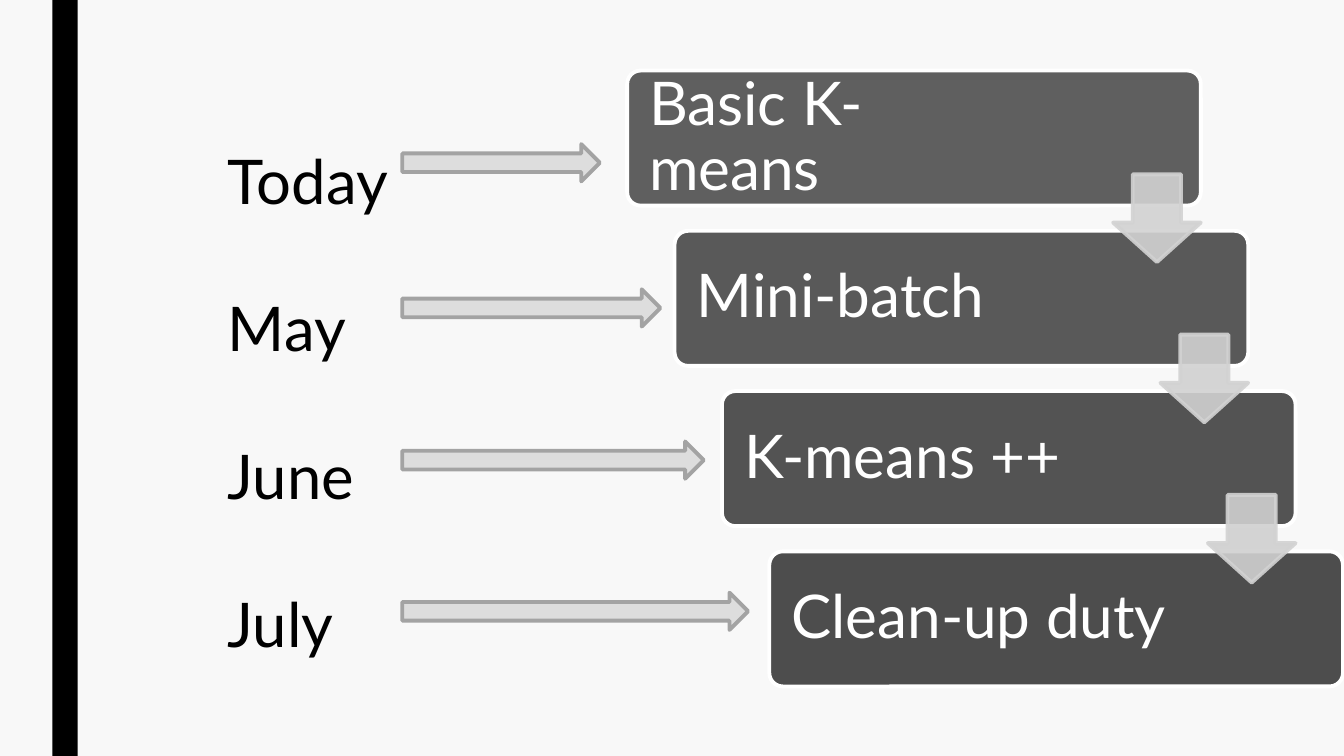
from lxml import etree
from pptx import Presentation
from pptx.dml.color import RGBColor
from pptx.enum.shapes import MSO_SHAPE
from pptx.enum.text import MSO_ANCHOR, MSO_AUTO_SIZE, PP_ALIGN
from pptx.oxml.ns import qn
from pptx.util import Inches, Pt

RECT = MSO_SHAPE.RECTANGLE
ROUNDED = MSO_SHAPE.ROUNDED_RECTANGLE
DOWN = MSO_SHAPE.DOWN_ARROW
RIGHT = MSO_SHAPE.RIGHT_ARROW
TOP = MSO_ANCHOR.TOP
MIDDLE = MSO_ANCHOR.MIDDLE
NO_FIT = MSO_AUTO_SIZE.NONE
LEFT = PP_ALIGN.LEFT

FONT = "Lato"
PAPER = RGBColor(0xF8, 0xF8, 0xF8)
BLACK = RGBColor(0x00, 0x00, 0x00)
WHITE = RGBColor(0xFF, 0xFF, 0xFF)
ARROW_FILL = RGBColor(0xDD, 0xDD, 0xDD)
ARROW_LINE = RGBColor(0xA3, 0xA3, 0xA3)
DROP_LINE = RGBColor(0xD2, 0xD2, 0xD2)
DROP_FILLS = [DROP_LINE, RGBColor(0xD1, 0xD1, 0xD1), RGBColor(0xD0, 0xD0, 0xD0)]

MONTHS = ["Today", "May", "June", "July"]
STEPS = [
    ("Basic K-means", RGBColor(0x5F, 0x5F, 0x5F), 4.13),
    ("Mini-batch", RGBColor(0x59, 0x59, 0x59), 4.26),
    ("K-means ++", RGBColor(0x53, 0x53, 0x53), 4.26),
    ("Clean-up duty", RGBColor(0x4D, 0x4D, 0x4D), 4.26),
]
POINTERS = [(1.43, 1.96), (2.87, 2.56), (4.38, 2.99), (5.88, 3.43)]
STEP_X, STEP_Y = 0.47, 1.59


class Deck:
    """Holds the presentation, its current slide and the shared style."""

    def __init__(self):
        self.prs = Presentation()
        self.prs.slide_width = Inches(13.33)
        self.prs.slide_height = Inches(7.5)
        self.s = self.prs.slides.add_slide(self.prs.slide_layouts[5])
        self.s.background.fill.solid()
        self.s.background.fill.fore_color.rgb = PAPER

    def frame(self, sp, anchor, inset, spacing):
        tf = sp.text_frame
        tf.word_wrap = True
        tf.auto_size = NO_FIT
        tf.vertical_anchor = anchor
        tf.margin_left = tf.margin_right = Inches(inset)
        tf.margin_top = tf.margin_bottom = Inches(inset)
        p = tf.paragraphs[0]
        p.alignment = LEFT
        p.line_spacing = spacing
        return p

    def run(self, p, text, size, color):
        r = p.add_run()
        r.text = text
        r.font.name = FONT
        r.font.size = Pt(size)
        r.font.color.rgb = color

    def title(self, lines, x, y, w, h):
        sp = self.s.shapes.title
        sp.left, sp.top, sp.width, sp.height = map(Inches, (x, y, w, h))
        p = self.frame(sp, TOP, 0.05, 2.0)
        sp.text_frame.margin_left = sp.text_frame.margin_right = Inches(0.1)
        p.space_before = Pt(6)
        for i, line in enumerate(lines):
            if i:
                p.add_line_break()
            self.run(p, line, 44, BLACK)

    def shape(self, kind, x, y, w, h, fill, line=None, adjust=(), alpha=None):
        sp = self.s.shapes.add_shape(kind, *map(Inches, (x, y, w, h)))
        sp.shadow.inherit = False
        for i, value in enumerate(adjust):
            sp.adjustments[i] = value
        sp.fill.solid()
        sp.fill.fore_color.rgb = fill
        if line is None:
            sp.line.fill.background()
        else:
            sp.line.color.rgb = line
            sp.line.width = Pt(2.75)
        if alpha is not None:
            for color in sp.fill._xPr.iter(qn("a:srgbClr")):
                etree.SubElement(color, qn("a:alpha")).set("val", str(alpha * 1000))

    def label(self, text, x, y, w, h):
        sp = self.s.shapes.add_textbox(*map(Inches, (x, y, w, h)))
        self.run(self.frame(sp, MIDDLE, 0.18, 0.9), text, 43, WHITE)


def main():
    deck = Deck()
    deck.shape(RECT, 0.52, 0, 0.25, 7.5, BLACK)
    deck.title(MONTHS, 2.16, 0.63, 4.42, 6.23)
    for i, (text, fill, width) in enumerate(STEPS):
        x, y = 6.22 + i * STEP_X, 0.7 + i * STEP_Y
        deck.shape(ROUNDED, x, y, 5.69, 1.34, fill, WHITE, [0.1])
        deck.label(text, x + 0.04, y + 0.04, width, 1.26)
    for i, fill in enumerate(DROP_FILLS):
        deck.shape(DOWN, 11.04 + i * STEP_X, 1.73 + i * STEP_Y, 0.87, 0.87,
                   fill, DROP_LINE, [0.55, 0.45], 90)
    for y, width in POINTERS:
        deck.shape(RIGHT, 3.99, y, width, 0.37, ARROW_FILL, ARROW_LINE)
    deck.prs.save("out.pptx")


if __name__ == "__main__":
    main()
